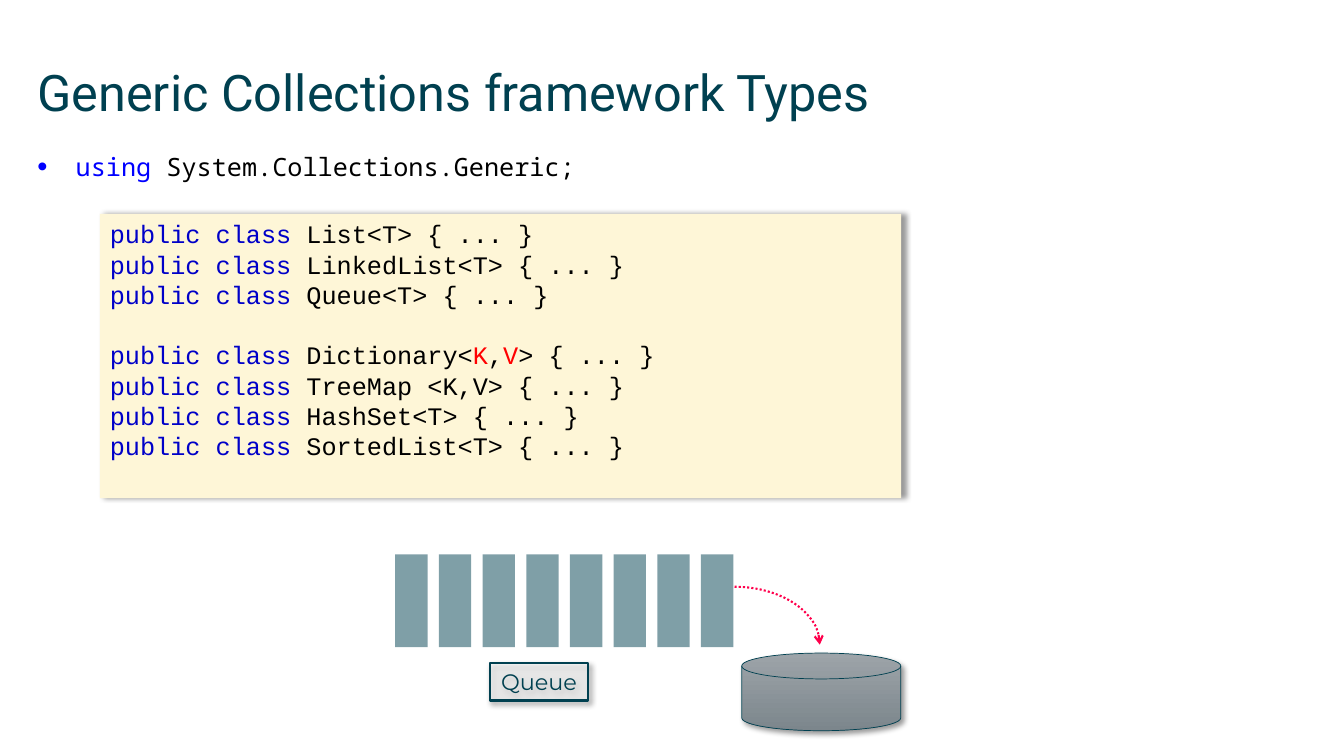
from dataclasses import dataclass
from typing import Any, Optional

from lxml import etree
from pptx import Presentation
from pptx import util as u
from pptx.dml import color as clr
from pptx.enum import dml, shapes, text
from pptx.oxml import ns

WIDE, HIGH = u.Inches(13.33), u.Inches(7.5)
COLS, ROWS = 32, 18
KIND = shapes.MSO_SHAPE
Run = tuple[str, str]


@dataclass(frozen=True)
class Theme:
    teal: str = "004050"
    key: str = "0000C8"
    blue: str = "0000FF"
    black: str = "000000"
    red: str = "FF0000"
    pink: str = "FF004C"
    cream: str = "FEF6D7"
    white: str = "FFFFFF"
    metal: tuple[str, str] = ("9DA4A9", "7C868C")
    head: float = 36
    code: float = 18
    label: float = 16
    pitch: float = 21.6


@dataclass(frozen=True)
class Box:
    left: float
    top: float
    width: float
    height: float

    def place(self) -> dict[str, int]:
        return {
            "left": int(WIDE * self.left / COLS),
            "top": int(HIGH * self.top / ROWS),
            "width": int(WIDE * self.width / COLS),
            "height": int(HIGH * self.height / ROWS),
        }


@dataclass(frozen=True)
class Item:
    kind: Any
    box: Box
    fill: Optional[str] = None
    alpha: int = 100
    blend: Optional[tuple[str, str]] = None
    line: Optional[str] = None
    weight: float = 0
    shade: Optional[int] = None


THEME = Theme()
TITLE = Box(0.89, 1.46, 30.24, 2.11)
USING = Box(0.89, 3.6, 30.22, 1)
CODE = Item(KIND.RECTANGLE, Box(2.38, 5.09, 19.08, 6.77), THEME.cream, shade=0)
BARS = [
    Item(KIND.RECTANGLE, Box(9.41 + 1.04 * n, 13.2, 0.77, 2.21), THEME.teal, 50)
    for n in range(8)
]
ARC = Item(KIND.ARC, Box(15.46, 13.97, 4.06, 2.76), line=THEME.pink, weight=1.5)
DISK = Item(KIND.FLOWCHART_MAGNETIC_DISK, Box(17.66, 15.55, 3.79, 1.85),
            blend=THEME.metal, line=THEME.teal, weight=0.5, shade=45)
LABEL = Item(KIND.RECTANGLE, Box(11.66, 15.79, 2.35, 0.89), THEME.white, 46,
             line=THEME.teal, weight=1.5, shade=45)
TYPES: list[list[list[Run]]] = [
    [[(f"{name} {{ ... }}", THEME.black)]
     for name in ("List<T>", "LinkedList<T>", "Queue<T>")],
    [[("Dictionary<", THEME.black), ("K", THEME.red), (",", THEME.black),
      ("V", THEME.red), ("> { ... }", THEME.black)]]
    + [[(f"{name} {{ ... }}", THEME.black)]
       for name in ("TreeMap <K,V>", "HashSet<T>", "SortedList<T>")],
]


def apply(thing: Any, form: dict[str, Any]) -> None:
    for name, value in form.items():
        setattr(thing, name, value)


def tint(code: str) -> clr.RGBColor:
    return clr.RGBColor.from_string(code)


def add_node(host: Any, tag: str, **form: Any) -> Any:
    return etree.SubElement(host, ns.qn(tag), {k: str(v) for k, v in form.items()})


def write(para: Any, runs: list[Run], face: str, size: float) -> None:
    for words, hue in runs:
        run = para.add_run()
        run.text = words
        apply(run.font, {"name": face, "size": u.Pt(size), "bold": False})
        run.font.color.rgb = tint(hue)


def set_frame(frame: Any, pad: tuple[float, float], wrap: bool, hold: Any) -> None:
    across, down = (u.Inches(side) for side in pad)
    apply(frame, {
        "margin_left": across, "margin_right": across,
        "margin_top": down, "margin_bottom": down,
        "word_wrap": wrap, "vertical_anchor": hold,
        "auto_size": text.MSO_AUTO_SIZE.NONE,
    })


def cast(shape: Any, angle: int) -> None:
    effect = shape._element.spPr.find(ns.qn("a:effectLst"))
    outer = add_node(effect, "a:outerShdw", blurRad=u.Pt(4), dist=u.Pt(3),
                     dir=angle * 60000, algn="tl", rotWithShape=0)
    add_node(add_node(outer, "a:srgbClr", val=THEME.black), "a:alpha", val=40000)


def draw(slide: Any, item: Item) -> Any:
    shape = slide.shapes.add_shape(item.kind, **item.box.place())
    shape.shadow.inherit = False
    if item.blend:
        shape.fill.gradient()
        shape.fill.gradient_angle = 270
        for stop, hue in zip(shape.fill.gradient_stops, item.blend):
            stop.color.rgb = tint(hue)
    elif item.fill:
        shape.fill.solid()
        shape.fill.fore_color.rgb = tint(item.fill)
        if item.alpha < 100:
            solid = shape._element.spPr.find(ns.qn("a:solidFill"))
            add_node(solid[0], "a:alpha", val=item.alpha * 1000)
    else:
        shape.fill.background()
    if item.line:
        shape.line.color.rgb = tint(item.line)
        shape.line.width = u.Pt(item.weight)
    else:
        shape.line.fill.background()
    if item.shade is not None:
        cast(shape, item.shade)
    return shape


def draw_text(slide: Any) -> None:
    title = slide.shapes.title
    apply(title, TITLE.place())
    set_frame(title.text_frame, (0, 0), True, text.MSO_ANCHOR.TOP)
    para = title.text_frame.paragraphs[0]
    para.alignment = text.PP_ALIGN.LEFT
    write(para, [("Generic Collections framework Types", THEME.teal)],
          "Roboto", THEME.head)

    frame = slide.shapes.add_textbox(**USING.place()).text_frame
    set_frame(frame, (0, 0), True, text.MSO_ANCHOR.TOP)
    para = frame.paragraphs[0]
    props = para._p.get_or_add_pPr()
    apply_indent = {"marL": u.Inches(0.38), "indent": -u.Inches(0.38)}
    for name, value in apply_indent.items():
        props.set(name, str(value))
    add_node(props, "a:buSzPct", val=115000)
    add_node(props, "a:buFont", typeface="Arial")
    add_node(props, "a:buChar", char="•")
    write(para, [("using ", THEME.blue), ("System.Collections.Generic;", THEME.black)],
          "Noto Sans Mono", THEME.code)


def draw_code(slide: Any) -> None:
    frame = draw(slide, CODE).text_frame
    set_frame(frame, (0.1, 0.05), True, text.MSO_ANCHOR.TOP)
    para = frame.paragraphs[0]
    for part, group in enumerate(TYPES):
        for row, runs in enumerate(group):
            if part or row:
                para = frame.add_paragraph()
            gap = THEME.pitch if part and not row else 0
            apply(para, {"alignment": text.PP_ALIGN.LEFT, "space_before": u.Pt(gap),
                         "line_spacing": u.Pt(THEME.pitch)})
            write(para, [("public class ", THEME.key), *runs], "Courier New", THEME.code)


def draw_queue(slide: Any) -> None:
    for bar in BARS:
        draw(slide, bar)
    arc = draw(slide, ARC)
    arc.line.dash_style = dml.MSO_LINE.ROUND_DOT
    add_node(arc._element.spPr.find(ns.qn("a:ln")), "a:tailEnd", type="arrow")
    draw(slide, DISK)
    frame = draw(slide, LABEL).text_frame
    set_frame(frame, (0.1, 0.05), False, text.MSO_ANCHOR.MIDDLE)
    frame.paragraphs[0].alignment = text.PP_ALIGN.CENTER
    write(frame.paragraphs[0], [("Queue", THEME.teal)], "Montserrat", THEME.label)


def main() -> None:
    deck = Presentation()
    apply(deck, {"slide_width": WIDE, "slide_height": HIGH})
    slide = deck.slides.add_slide(deck.slide_layouts[5])
    for step in (draw_text, draw_code, draw_queue):
        step(slide)
    deck.save("out.pptx")


if __name__ == "__main__":
    main()
